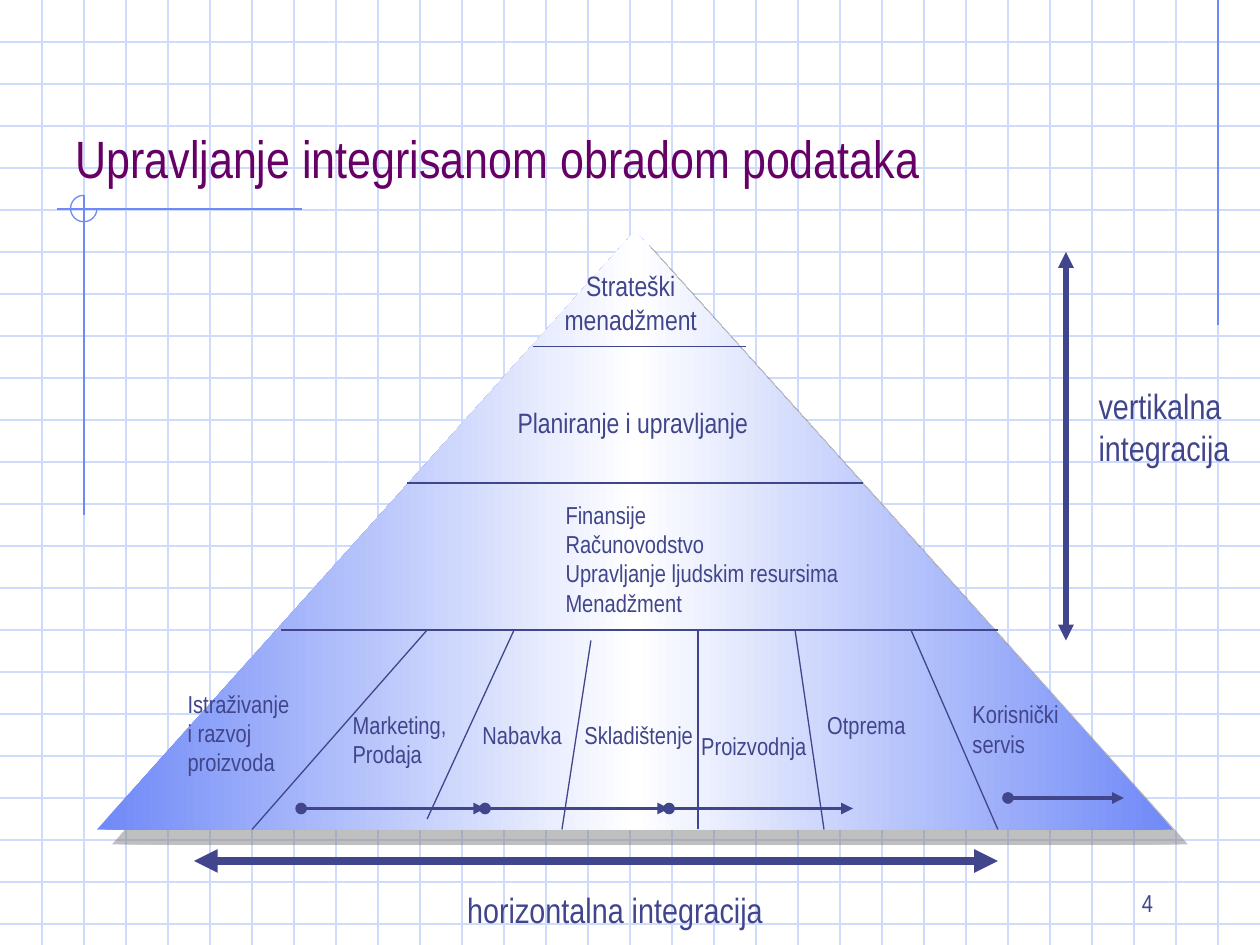
from pptx import Presentation
from pptx.dml.color import RGBColor
from pptx.enum.shapes import MSO_CONNECTOR, MSO_SHAPE
from pptx.enum.text import MSO_ANCHOR, MSO_AUTO_SIZE, PP_ALIGN
from pptx.oxml.xmlchemy import OxmlElement
from pptx.util import Inches, Pt

COLUMNS, ROWS = 30, 22.5
CELL = Inches(10) / COLUMNS
FONT = "Arial Narrow"
COLORS = {"grid": "CFDBFD", "frame": "6F89F7", "ink": "40458C",
          "title": "660066", "white": "FFFFFF", "shadow": "808080"}

PYRAMID = (2.31, 5.5, 25.62, 14.25)
GRADIENT = [(0, "frame"), (50, "white"), (100, "frame")]
CORNER_ARC = (1.68, 4.65, 0.63, 0.63)
FRAME_LINES = [(29, 0, 29, 7.75), (7.2, 4.98, 1.35, 4.98), (2, 4.65, 2, 12.27)]
LEVEL_LINES = [(12.69, 8.25, 17.76, 8.25), (9.69, 11.5, 20.55, 11.5),
               (6.69, 15, 23.76, 15)]
DIVIDERS = [(16.62, 19.75, 16.62, 15), (6, 19.75, 10.17, 15),
            (10.17, 19.5, 12.24, 15), (13.38, 19.75, 14.07, 15.25),
            (23.76, 19.75, 21.69, 15), (19.62, 19.75, 18.93, 15)]
CHAIN_LEFT, CHAIN_TOP, CHAIN_STEP, CHAIN_COUNT = 7.17, 19.25, 4.38, 3
SERVICE_ARROW = (24, 19, 26.76, 19)
INTEGRATION_ARROWS = [((4.62, 20.5, 23.76, 20.5), 4.5),
                      ((25.38, 6, 25.38, 15.25), 3)]

TITLE = ("Upravljanje integrisanom obradom podataka", (1.5, 1.25, 24.75, 3.4))
PAGE_NUMBER = ("4", (21.5, 20.5, 6.25, 1.5))
LABELS = [
    (["Istraživanje", "i razvoj", "proizvoda"], 14, (4.17, 16.25, 3.5, 2.4)),
    (["Marketing,", "Prodaja"], 14, (8.1, 16.75, 3.2, 1.7)),
    (["Nabavka"], 14, (11.19, 17, 2.8, 1.01)),
    (["Skladištenje"], 14, (13.62, 17, 3.5, 1.01)),
    (["Proizvodnja"], 14, (16.4, 17.25, 3.4, 1.01)),
    (["Otprema"], 14, (19.4, 16.75, 2.8, 1.01)),
    (["Korisnički", "servis"], 14, (22.86, 16.5, 3, 1.7)),
    (["Finansije", "Računovodstvo", "Upravljanje ljudskim resursima",
      "Menadžment"], 14, (13.17, 11.75, 7.5, 3.12)),
    (["Planiranje i upravljanje"], 16, (12.03, 9.5, 6.5, 1.11)),
    (["horizontalna integracija"], 20, (10.83, 21, 8.2, 1.31)),
    (["vertikalna", "integracija"], 20, (25.86, 9, 4.1, 2.31)),
]
SUMMIT_LABEL = (["Strateški", "menadžment"], 16, (12.92, 6.25, 4.2, 1.92))


def cells(values):
    return [round(value * CELL) for value in values]


def rgb(name):
    return RGBColor.from_string(COLORS[name])


def add_element(parent, tag, **attributes):
    element = OxmlElement(tag)
    for name, value in attributes.items():
        element.set(name, str(value))
    parent.append(element)
    return element


def add_line(slide, ends, color, width=0.75, head=None, tail=None):
    connector = slide.shapes.add_connector(MSO_CONNECTOR.STRAIGHT, *cells(ends))
    connector.line.color.rgb = rgb(color)
    connector.line.width = Pt(width)
    line = connector.line._get_or_add_ln()
    for tag, kind in (("a:headEnd", head), ("a:tailEnd", tail)):
        if kind:
            add_element(line, tag, type=kind)
    add_element(connector._element.spPr, "a:effectLst")


def add_text(slide, lines, size, area, color="ink",
             align=PP_ALIGN.LEFT, anchor=MSO_ANCHOR.TOP):
    frame = slide.shapes.add_textbox(*cells(area)).text_frame
    frame.word_wrap = True
    frame.auto_size = MSO_AUTO_SIZE.NONE
    frame.vertical_anchor = anchor
    for index, line in enumerate(lines):
        paragraph = frame.add_paragraph() if index else frame.paragraphs[0]
        paragraph.alignment = align
        run = paragraph.add_run()
        run.text = line
        run.font.name = FONT
        run.font.size = Pt(size)
        run.font.color.rgb = rgb(color)


def add_background(slide):
    for row in range(1, int(ROWS) + 1):
        add_line(slide, (0, row, COLUMNS, row), "grid")
    for column in range(1, COLUMNS):
        add_line(slide, (column, 0, column, ROWS), "grid")
    for ends in FRAME_LINES:
        add_line(slide, ends, "frame")
    arc = slide.shapes.add_shape(MSO_SHAPE.ARC, *cells(CORNER_ARC))
    arc.adjustments[0] = 0
    arc.adjustments[1] = 270 * 60000 / 100000
    arc.shadow.inherit = False
    arc.fill.background()
    arc.line.color.rgb = rgb("frame")
    arc.line.width = Pt(0.75)


def add_pyramid(slide):
    pyramid = slide.shapes.add_shape(MSO_SHAPE.ISOSCELES_TRIANGLE, *cells(PYRAMID))
    pyramid.line.fill.background()
    pyramid.fill.gradient()
    pyramid.fill.gradient_angle = 0
    properties = pyramid._element.spPr
    stops = properties.find(".//{*}gsLst")
    for stop in list(stops):
        stops.remove(stop)
    for percent, color in GRADIENT:
        stop = add_element(stops, "a:gs", pos=percent * 1000)
        add_element(stop, "a:srgbClr", val=COLORS[color])
    pyramid.shadow.inherit = False
    shadow = add_element(properties.find("{*}effectLst"), "a:outerShdw",
                         blurRad=0, dist=Pt(12.1), dir=45 * 60000,
                         algn="ctr", rotWithShape=0)
    shadow_color = add_element(shadow, "a:srgbClr", val=COLORS["shadow"])
    add_element(shadow_color, "a:alpha", val=50000)


def main():
    presentation = Presentation()
    presentation.slide_width, presentation.slide_height = cells((COLUMNS, ROWS))
    slide = presentation.slides.add_slide(presentation.slide_layouts[6])

    add_background(slide)
    number, number_area = PAGE_NUMBER
    add_text(slide, [number], 14, number_area,
             align=PP_ALIGN.RIGHT, anchor=MSO_ANCHOR.BOTTOM)
    title, title_area = TITLE
    add_text(slide, [title], 30, title_area, color="title",
             anchor=MSO_ANCHOR.BOTTOM)

    add_pyramid(slide)
    for ends in LEVEL_LINES + DIVIDERS:
        add_line(slide, ends, "ink")
    for label in LABELS:
        add_text(slide, *label)
    add_text(slide, *SUMMIT_LABEL, align=PP_ALIGN.CENTER)

    for ends, width in INTEGRATION_ARROWS:
        add_line(slide, ends, "ink", width, "triangle", "triangle")
    starts = [CHAIN_LEFT + step * CHAIN_STEP for step in range(CHAIN_COUNT)]
    chain = [(left, CHAIN_TOP, left + CHAIN_STEP, CHAIN_TOP) for left in starts]
    for ends in chain + [SERVICE_ARROW]:
        add_line(slide, ends, "ink", 2.25, "oval", "triangle")

    presentation.save("out.pptx")


if __name__ == "__main__":
    main()
